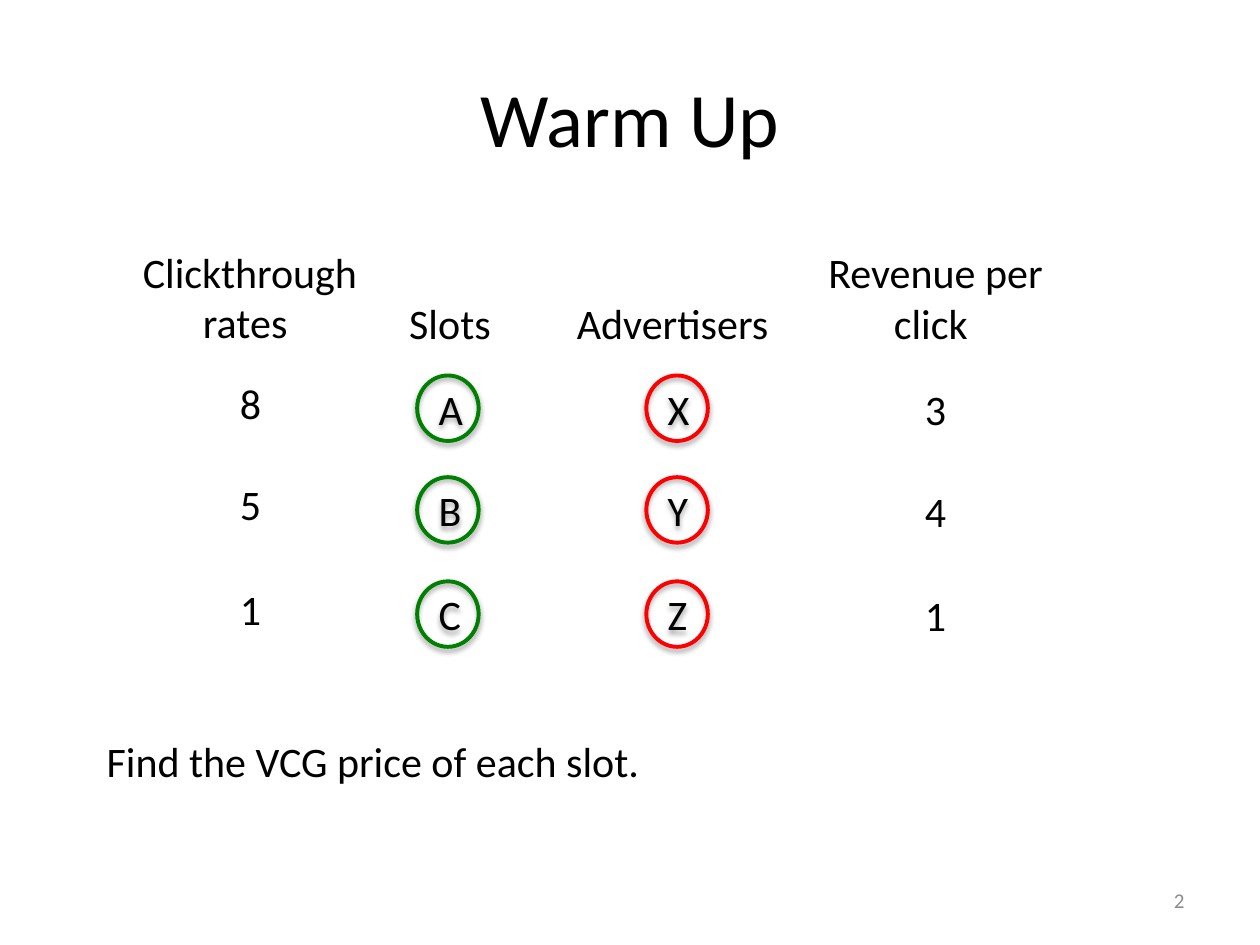
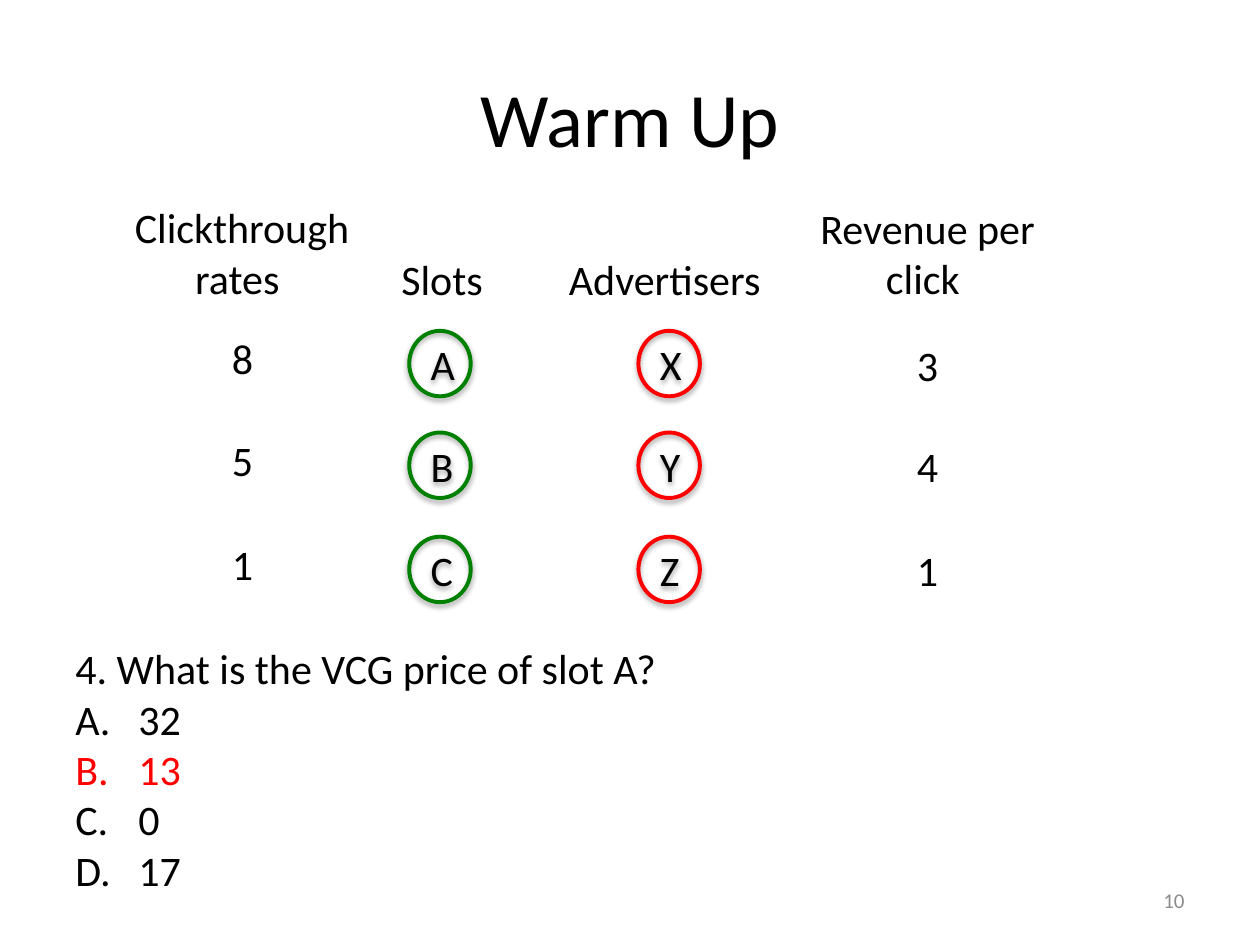
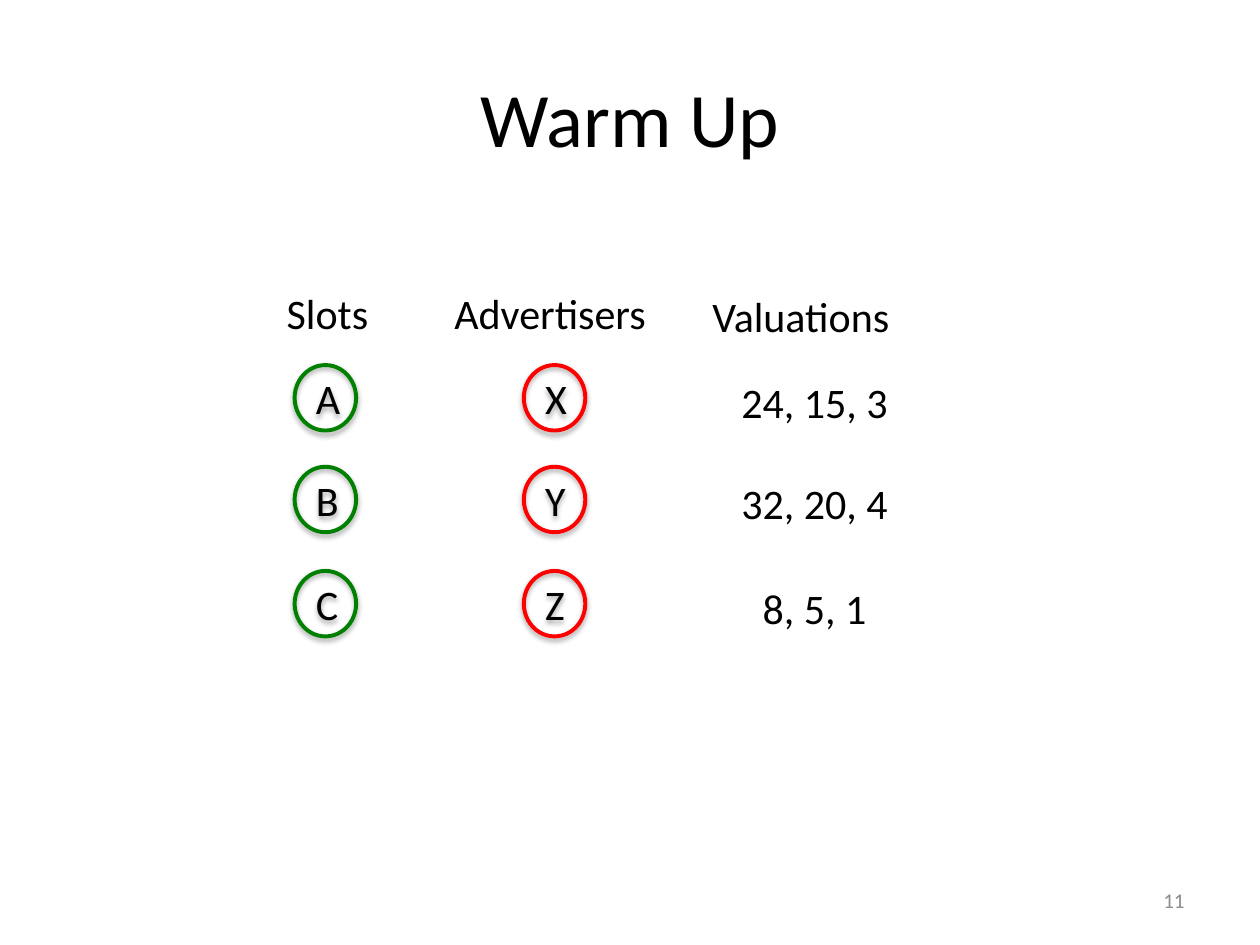
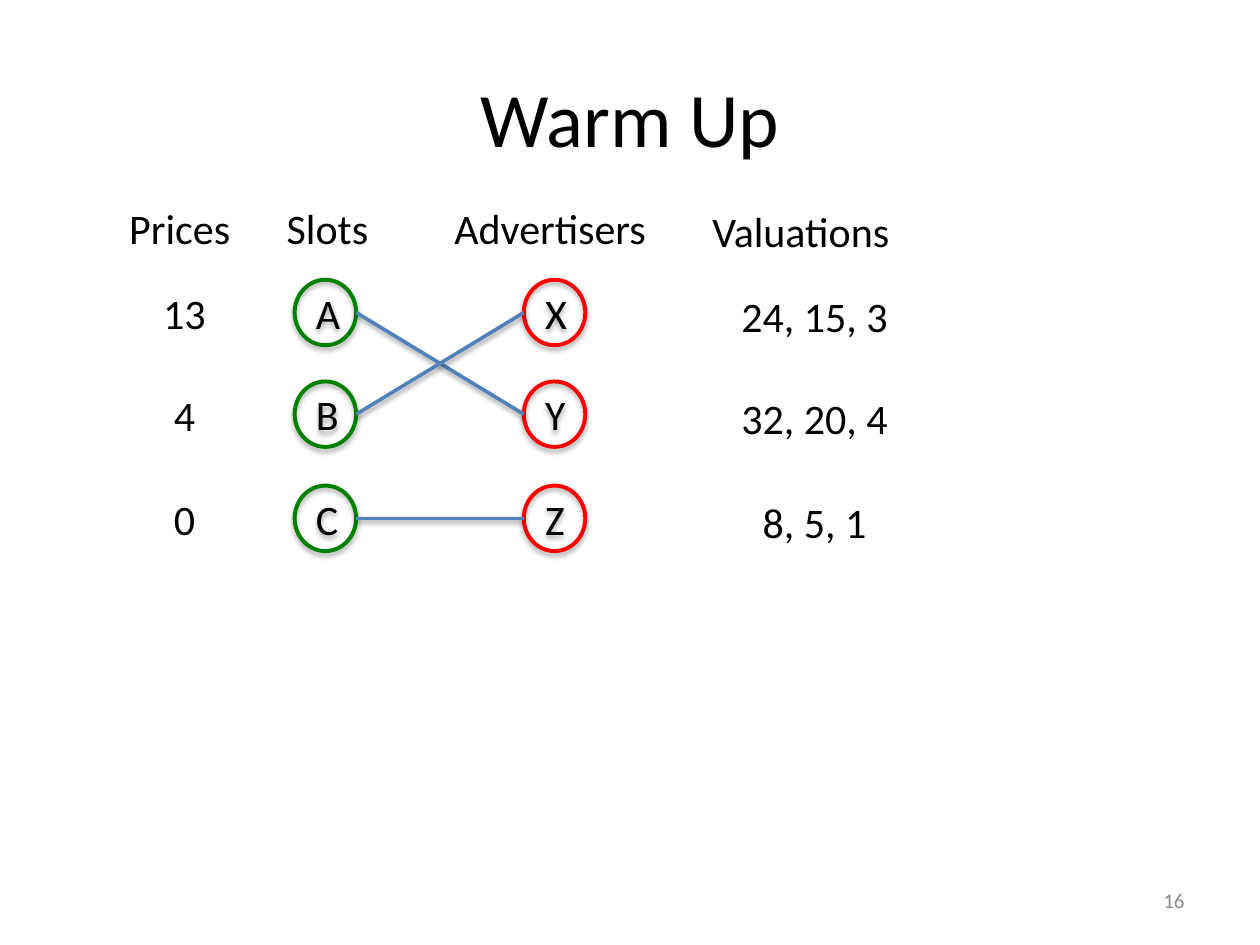
"""Build four warm-up slides on slot auctions."""
from lxml import etree
from pptx import Presentation
from pptx.dml.color import RGBColor
from pptx.enum.shapes import MSO_CONNECTOR, MSO_SHAPE
from pptx.enum.text import MSO_ANCHOR, MSO_AUTO_SIZE, PP_ALIGN
from pptx.oxml.ns import qn
from pptx.util import Cm, Pt

BLACK = RGBColor(0x00, 0x00, 0x00)
GRAY = RGBColor(0x8C, 0x8C, 0x8C)
RED = RGBColor(0xFF, 0x00, 0x00)
GREEN = RGBColor(0x00, 0x80, 0x00)
BLUE = RGBColor(0x4F, 0x81, 0xBD)
LEFT, CENTER, RIGHT = PP_ALIGN.LEFT, PP_ALIGN.CENTER, PP_ALIGN.RIGHT
TOP, MIDDLE = MSO_ANCHOR.TOP, MSO_ANCHOR.MIDDLE
GROW = MSO_AUTO_SIZE.SHAPE_TO_FIT_TEXT
OVAL, LINE = MSO_SHAPE.OVAL, MSO_CONNECTOR.STRAIGHT

FONT = "Calibri"
ROWS = (0, 2.05, 4.15)
WIDE, HIGH = 1.24, 1.32
SPAN = 4.62
HEAD = 5.46
TALL = 1.27


def write(frame, text, size=24, color=BLACK, align=LEFT, anchor=TOP, first=True):
    """Put one formatted paragraph into a text frame and return it."""
    frame.word_wrap = True
    frame.vertical_anchor = anchor
    para = frame.paragraphs[0] if first else frame.add_paragraph()
    para.alignment = align
    run = para.add_run()
    run.text = text
    run.font.name, run.font.size = FONT, Pt(size)
    run.font.color.rgb = color
    return para


def letter(para):
    """Number a paragraph with capital letters."""
    props = para._p.get_or_add_pPr()
    props.set("marL", str(Cm(1.27)))
    props.set("indent", str(-Cm(1.27)))
    etree.SubElement(props, qn("a:buFont"), typeface="+mj-lt")
    etree.SubElement(props, qn("a:buAutoNum"), type="alphaUcPeriod")


def shade(item, dist, alpha):
    """Give a shape or line a soft shadow below it."""
    effects = etree.SubElement(item.element.spPr, qn("a:effectLst"))
    shadow = etree.SubElement(
        effects, qn("a:outerShdw"), blurRad=str(Pt(3.1)),
        dist=str(Pt(dist)), dir="5400000", rotWithShape="0")
    tint = etree.SubElement(shadow, qn("a:srgbClr"), val=str(BLACK))
    etree.SubElement(tint, qn("a:alpha"), val=str(alpha * 1000))


class Deck:
    """Hold the deck's style, its current slide and the board's origin."""

    def __init__(self):
        """Start an empty deck."""
        self.show = Presentation()
        self.show.slide_width, self.show.slide_height = Cm(25.4), Cm(19.05)

    def start(self, number, left, top):
        """Add a slide with its title, number and board."""
        slide = self.show.slides.add_slide(self.show.slide_layouts[5])
        title = slide.shapes.title
        title.left, title.top = Cm(1.27), Cm(0.76)
        title.width, title.height = Cm(22.86), Cm(3.18)
        write(title.text_frame, "Warm Up", size=44, align=CENTER, anchor=MIDDLE)
        self.left, self.top = left, top
        self.page = self.items = slide.shapes
        self.text(number, 18.2, 17.65, 5.93, 1.01, grow=False,
                  size=12, color=GRAY, align=RIGHT, anchor=MIDDLE)
        self.items = self.page.add_group_shape().shapes
        self.nodes("XYZ", SPAN, RED)
        self.nodes("ABC", 0, GREEN)
        self.head("Slots", -0.41, -1.69, wide=2.39, align=LEFT)
        self.head("Advertisers", 2.97, -1.69, align=LEFT)

    def text(self, text, x, y, wide, high=TALL, grow=True, **form):
        """Add a text box and return its frame."""
        frame = self.items.add_textbox(Cm(x), Cm(y), Cm(wide), Cm(high)).text_frame
        write(frame, text, **form)
        if grow:
            frame.auto_size = GROW
        return frame

    def head(self, text, x, y, wide=HEAD, high=TALL, align=CENTER):
        """Add a column heading, placed from the board's origin."""
        self.text(text, self.left + x, self.top + y, wide, high, align=align)

    def values(self, texts, x, y, wides=(1.5,) * 3):
        """Add a column of values centred on x."""
        for text, row, wide in zip(texts, ROWS, wides):
            self.text(text, self.left + x - wide / 2, self.top + row + y,
                      wide, align=CENTER)

    def nodes(self, names, x, color):
        """Add a column of ringed letters."""
        for name, row in zip(names, ROWS):
            ring = self.items.add_shape(
                OVAL, Cm(self.left + x), Cm(self.top + row), Cm(WIDE), Cm(HIGH))
            ring.fill.background()
            ring.line.color.rgb, ring.line.width = color, Pt(2.25)
            shade(ring, 1.8, 35)
            write(ring.text_frame, name, align=CENTER, anchor=MIDDLE)

    def link(self, slot, buyer):
        """Join a slot's ring to an advertiser's ring."""
        mid = self.top + HIGH / 2
        line = self.items.add_connector(
            LINE, Cm(self.left + SPAN), Cm(mid + ROWS[buyer]),
            Cm(self.left + WIDE), Cm(mid + ROWS[slot]))
        line.line.color.rgb, line.line.width = BLUE, Pt(2)
        shade(line, 1.6, 38)

    def rates(self):
        """Add click rates and revenues beside the rings."""
        self.head("Clickthrough rates ", -6.1, -2.73, high=2.31)
        self.head("Revenue per click ", 7.72, -2.72, high=2.31)
        self.values("851", -3.36, -0.09)
        self.values("341", 10.45, 0.04)
        self.items = self.page

    def worths(self):
        """Add the advertisers' valuations beside the rings."""
        self.head("Valuations ", 7.57, -1.63)
        self.values(("24, 15, 3", "32, 20, 4", "8, 5, 1"), 10.48, 0.1,
                    (4.24, 4.42, 3.84))
        self.items = self.page

    def quiz(self, ask, picks, right):
        """Add a question with lettered answers, the right one in red."""
        frame = self.text(ask, 1.27, 12.83, 21.06, 6.4)
        for pick in picks:
            color = RED if pick == right else BLACK
            letter(write(frame, pick, color=color, first=False))


deck = Deck()

deck.start("2", 8.41, 7.57)
deck.rates()
deck.text("Find the VCG price of each slot. ", 1.9, 14.71, 21.06)

deck.start("10", 8.25, 6.67)
deck.rates()
deck.quiz("4. What is the VCG price of slot A?", ("32", "13", "0", "17"), "13")

deck.start("11", 5.94, 7.36)
deck.worths()

deck.start("16", 5.94, 5.64)
deck.worths()
for slot, buyer in ((0, 1), (1, 0), (2, 2)):
    deck.link(slot, buyer)
deck.head("Prices ", -4.95, -1.69)
deck.values(("13", "4", "0"), -2.22, 0.04)

deck.show.save("out.pptx")
